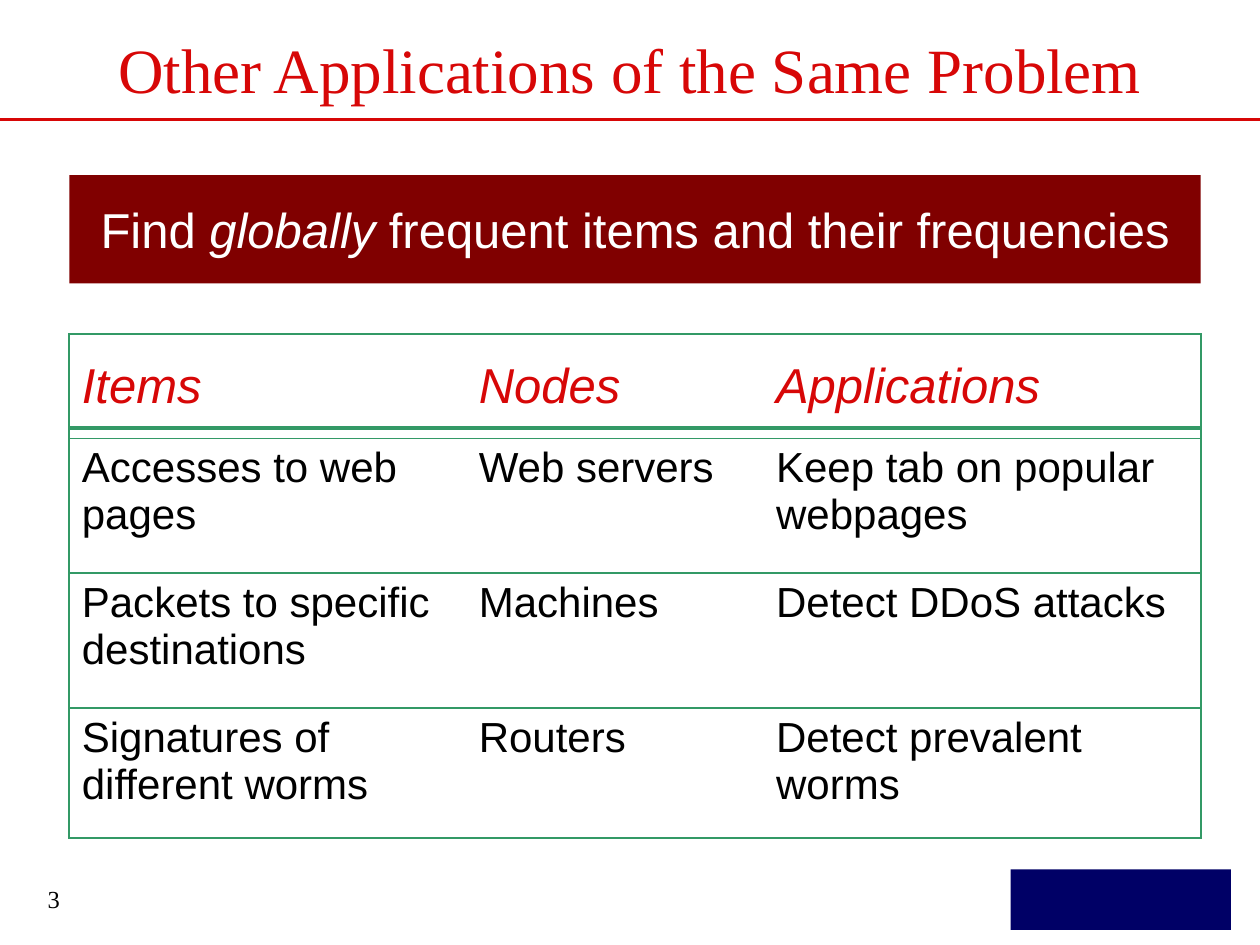
from dataclasses import dataclass

from lxml import etree
from pptx import Presentation
from pptx.dml.color import RGBColor
from pptx.enum import shapes, text
from pptx.oxml import ns
from pptx.util import Inches, Pt


@dataclass(frozen=True)
class Theme:
    red: str = "D70707"
    maroon: str = "800000"
    navy: str = "000066"
    green: str = "339966"
    black: str = "000000"
    white: str = "FFFFFF"
    serif: str = "Times New Roman"
    sans: str = "Arial"
    title: int = 36
    heading: int = 28
    body: int = 24
    small: int = 14


THEME = Theme()
ALIGN = text.PP_ALIGN
MIDDLE = text.MSO_ANCHOR.MIDDLE

LEFT, WIDTH = 0.55, 8.98
COLUMNS = (3.15, 2.36, 3.47)
ROWS = (0.83, 1.07, 1.07, 1.03)
CONTENT = (
    ("Items", "Nodes", "Applications"),
    ("Accesses to web pages", "Web servers", "Keep tab on popular webpages"),
    ("Packets to specific destinations", "Machines", "Detect DDoS attacks"),
    ("Signatures of different worms", "Routers", "Detect prevalent worms"),
)


def add_span(para, words, size, color, font=THEME.sans, italic=False):
    span = para.add_run()
    span.text = words
    span.font.name = font
    span.font.size = Pt(size)
    span.font.italic = italic
    span.font.color.rgb = RGBColor.from_string(color)


def add_text_box(slide, left, top, width, height, align=ALIGN.LEFT, anchor=None):
    """Add an empty text box and return its first paragraph."""
    frame = slide.shapes.add_textbox(*map(Inches, (left, top, width, height))).text_frame
    frame.word_wrap = True
    frame.vertical_anchor = anchor
    para = frame.paragraphs[0]
    para.alignment = align
    return para


def add_block(slide, left, top, width, height, color):
    box = slide.shapes.add_shape(
        shapes.MSO_SHAPE.RECTANGLE, *map(Inches, (left, top, width, height)))
    box.shadow.inherit = False
    box.fill.solid()
    box.fill.fore_color.rgb = RGBColor.from_string(color)
    box.line.fill.background()
    return box


def add_rule(slide, left, right, y, color, weight):
    line = slide.shapes.add_connector(
        shapes.MSO_CONNECTOR.STRAIGHT, Inches(left), Inches(y), Inches(right), Inches(y))
    line.line.color.rgb = RGBColor.from_string(color)
    line.line.width = Pt(weight)
    etree.SubElement(line._element.spPr, ns.qn("a:effectLst"))


def add_banner(slide):
    frame = add_block(slide, LEFT, 1.39, WIDTH, 0.86, THEME.maroon).text_frame
    frame.word_wrap = False
    frame.vertical_anchor = MIDDLE
    para = frame.paragraphs[0]
    para.alignment = ALIGN.CENTER
    for words, italic in (("Find ", False), ("globally ", True),
                          ("frequent items and their frequencies", False)):
        add_span(para, words, THEME.heading, THEME.white, italic=italic)


def set_borders(cell, visible):
    """Draw the cell edges named in visible (L, R, T, B) and clear the others."""
    properties = cell._tc.get_or_add_tcPr()
    for edge in "LRTB":
        line = etree.SubElement(properties, ns.qn(f"a:ln{edge}"), w=str(Pt(1.08)))
        if edge in visible:
            fill = etree.SubElement(line, ns.qn("a:solidFill"))
            etree.SubElement(fill, ns.qn("a:srgbClr"), val=THEME.green)
        else:
            etree.SubElement(line, ns.qn("a:noFill"))


def add_applications_table(slide):
    table = slide.shapes.add_table(
        len(ROWS), len(COLUMNS),
        *map(Inches, (LEFT, 2.65, WIDTH, sum(ROWS)))).table
    table.first_row = table.horz_banding = False
    for column, width in zip(table.columns, COLUMNS):
        column.width = Inches(width)
    for row_index, (row, height) in enumerate(zip(table.rows, ROWS)):
        row.height = Inches(height)
        header = row_index == 0
        for column_index, cell in enumerate(row.cells):
            edges = {0: "LTB", len(COLUMNS) - 1: "RTB"}.get(column_index, "TB")
            set_borders(cell, edges)
            cell.fill.background()
            if header:
                cell.vertical_anchor = MIDDLE
            add_span(cell.text_frame.paragraphs[0], CONTENT[row_index][column_index],
                     THEME.heading if header else THEME.body,
                     THEME.red if header else THEME.black, italic=header)


def add_page_number(slide):
    para = add_text_box(slide, 0.04, 6.97, 2.33, 0.52)
    para._p.get_or_add_pPr().set("marL", str(Inches(0.24)))
    add_span(para, "3", THEME.small, THEME.black, THEME.serif)


def main():
    deck = Presentation()
    deck.slide_width, deck.slide_height = Inches(10), Inches(7.5)
    slide = deck.slides.add_slide(deck.slide_layouts[6])
    add_block(slide, 8.02, 6.9, 1.75, 0.48, THEME.navy)
    add_rule(slide, 0, 10, 0.95, THEME.red, 1.5)
    title = add_text_box(slide, 0.75, 0.17, 8.5, 0.75, ALIGN.CENTER, MIDDLE)
    add_span(title, "Other Applications of the Same Problem",
             THEME.title, THEME.red, THEME.serif)
    add_banner(slide)
    add_applications_table(slide)
    add_rule(slide, LEFT, LEFT + WIDTH, 3.4, THEME.green, 2.25)
    add_page_number(slide)
    deck.save("out.pptx")


if __name__ == "__main__":
    main()
